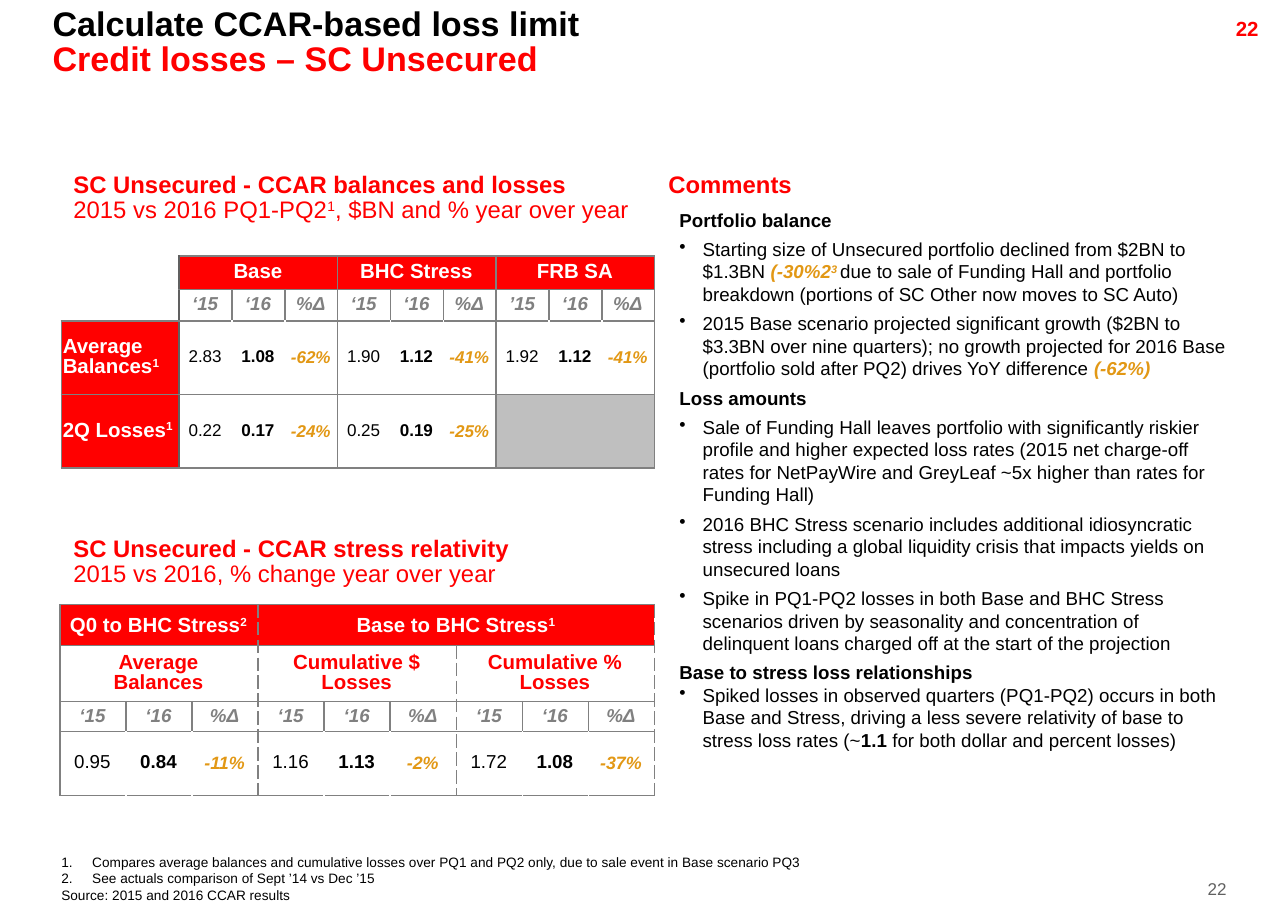
from lxml import etree
from pptx import Presentation
from pptx.dml.color import RGBColor
from pptx.enum.text import MSO_ANCHOR as ANCHOR, PP_ALIGN as ALIGN
from pptx.oxml.ns import qn
from pptx.util import Cm, Pt

COLORS = {"red": "FF0000", "black": "000000", "white": "FFFFFF", "gray": "808080",
          "dark": "606060", "light": "BFBFBF", "amber": "E29815"}
TIGHT = 0.86
HEADS = ("‘15", "‘16", "%Δ")


def rgb(name):
    return RGBColor.from_string(COLORS[name])


def add_runs(p, runs, size):
    """Each run is (text, flags, color); flags: b bold, i italic, ^ superscript."""
    for text, flags, color in runs:
        r = p.add_run()
        r.text = text
        f = r.font
        f.name, f.size = "Arial", Pt(size)
        f.bold, f.italic = "b" in flags, "i" in flags
        f.color.rgb = rgb(color)
        if "^" in flags:
            r._r.get_or_add_rPr().set("baseline", "30000")


def add_bullet(p, indent, tag, **attrs):
    pPr = p._p.get_or_add_pPr()
    pPr.set("marL", str(Cm(indent)))
    pPr.set("indent", str(-Cm(indent)))
    etree.SubElement(pPr, qn(f"a:{tag}"), **attrs)


def add_text(s, box, paras, size, spacing=TIGHT, align=ALIGN.LEFT, wrap=True, inset=True):
    tf = s.shapes.add_textbox(*map(Cm, box)).text_frame
    tf.word_wrap = wrap
    if not inset:
        tf.margin_left = tf.margin_right = tf.margin_top = tf.margin_bottom = 0
    for i, runs in enumerate(paras):
        p = tf.paragraphs[0] if i == 0 else tf.add_paragraph()
        p.alignment, p.line_spacing = align, spacing
        add_runs(p, runs, size)
    return tf


def set_borders(cell, edges):
    """Edges are (color, dash) or None, in the order left, right, top, bottom."""
    tcPr = cell._tc.get_or_add_tcPr()
    for i, (side, edge) in enumerate(zip("LRTB", edges)):
        ln = etree.Element(qn(f"a:ln{side}"), w=str(Pt(1)))
        if edge:
            fill = etree.SubElement(ln, qn("a:solidFill"))
            etree.SubElement(fill, qn("a:srgbClr"), val=COLORS[edge[0]])
            etree.SubElement(ln, qn("a:prstDash"), val=edge[1])
        else:
            etree.SubElement(ln, qn("a:noFill"))
        tcPr.insert(i, ln)


def add_grid(s, box, widths, heights, merges, rows, edge):
    """rows hold (paragraphs, size, fill, align, spacing) by cell; edge(row, k) is gridline k."""
    frame = s.shapes.add_table(len(heights), len(widths), *map(Cm, box))
    table = frame.table
    table.first_row = table.horz_banding = False
    for col, width in zip(table.columns, widths):
        col.width = Cm(width)
    for row, height in zip(table.rows, heights):
        row.height = Cm(height)
    for r0, c0, r1, c1 in merges:
        table.cell(r0, c0).merge(table.cell(r1, c1))
    for r, row in enumerate(rows):
        for c, (paras, size, fill, align, spacing) in enumerate(row):
            cell = table.cell(r, c)
            cell.margin_left, cell.margin_right = Cm(0.03), Cm(0.05)
            cell.margin_top = cell.margin_bottom = Cm(0.05)
            cell.vertical_anchor = ANCHOR.MIDDLE
            cell.fill.solid()
            cell.fill.fore_color.rgb = rgb(fill)
            tf = cell.text_frame
            for i, runs in enumerate(paras):
                p = tf.paragraphs[0] if i == 0 else tf.add_paragraph()
                p.alignment, p.line_spacing = align, spacing
                add_runs(p, runs, size)
            if not paras:
                etree.SubElement(tf.paragraphs[0]._p, qn("a:endParaRPr"), sz="800")
            rule = ("gray", "solid")
            corner = fill == "white" and not paras
            set_borders(cell, (edge(r, c), edge(r, c + cell.span_width),
                               None if corner else rule, rule))


def label(*paras, size=12, fill="red", align=ALIGN.CENTER, spacing=TIGHT):
    return paras, size, fill, align, spacing


def blanks(n, fill="white"):
    return [label(fill=fill)] * n


def year_heads(heads):
    return [label([(h, "bi", "gray")], size=11, fill="white") for h in heads]


def readings(text, size, change_size):
    """Cells for repeated triples: last year, this year, change."""
    styles = (("", "black", size, TIGHT), ("b", "black", size, TIGHT),
              ("bi", "amber", change_size, 1.0))
    cells = []
    for i, value in enumerate(text.split()):
        flags, color, points, spacing = styles[i % 3]
        cells.append(label([(value, flags, color)], size=points, fill="white", spacing=spacing))
    return cells


def balances_table(s, box):
    first = 2.44
    widths = [first] + [(box[2] - first) / 9] * 9

    def side(*runs):
        return label([(t, f, "white") for t, f in runs], align=ALIGN.LEFT)

    scenarios = []
    for name in ("Base", "BHC Stress", "FRB SA"):
        scenarios += [label([(name, "b", "white")])] + blanks(2, "red")
    rows = [
        blanks(1) + scenarios,
        blanks(1) + year_heads(HEADS * 2 + ("’15", "‘16", "%Δ")),
        [side(("Average Balances", "b"), ("1", "b^"))]
        + readings("2.83 1.08 -62% 1.90 1.12 -41% 1.92 1.12 -41%", 10, 10),
        [side(("2Q Losses", "b"), ("1", "b^"))]
        + readings("0.22 0.17 -24% 0.25 0.19 -25%", 10, 10) + blanks(3, "light"),
    ]

    def edge(r, k):
        if k == 0 and r < 2:
            return None
        if k == 1:
            return "dark", "solid"
        return ("gray" if r < 2 or k == 0 or k % 3 == 1 else "white"), "solid"

    merges = [(0, 0, 1, 0), (3, 7, 3, 9)] + [(0, c, 0, c + 2) for c in (1, 4, 7)]
    add_grid(s, box, widths, (0.69, 0.66, 1.52, 1.52), merges, rows, edge)


def relativity_table(s, box):
    def top(text, note):
        return label([(text, "b", "white"), (note, "b^", "white")], spacing=1.0)

    measures = []
    for lines in (("Average", "Balances"), ("Cumulative $", "Losses"), ("Cumulative % Losses",)):
        measures += [label(*[[(t, "b", "red")] for t in lines], fill="white")] + blanks(2)
    rows = [
        [top("Q0 to BHC Stress", "2")] + blanks(2, "red")
        + [top("Base to BHC Stress", "1")] + blanks(5, "red"),
        measures,
        year_heads(HEADS * 3),
        readings("0.95 0.84 -11% 1.16 1.13 -2% 1.72 1.08 -37%", 11, 10.5),
    ]

    def edge(r, k):
        if k % 3 == 0:
            return "gray", "sysDash" if k else "solid"
        return ("white" if r == 3 else "gray"), "solid"

    merges = [(0, 0, 0, 2), (0, 3, 0, 8)] + [(1, c, 1, c + 2) for c in (0, 3, 6)]
    add_grid(s, box, [box[2] / 9] * 9, (0.85, 1.16, 0.62, 1.32), merges, rows, edge)


def comments(s, box):
    def plain(text):
        return text, "", "black"

    paras = [
        [("Portfolio balance", "b", "black")],
        [plain("Starting size of Unsecured portfolio declined from $2BN to $1.3BN "),
         ("(-30%2", "bi", "amber"), ("3 ", "bi^", "amber"),
         plain("due to sale of Funding Hall and portfolio breakdown "
               "(portions of SC Other now moves to SC Auto)")],
        [plain("2015 Base scenario projected significant growth ($2BN to $3.3BN over nine "
               "quarters); no growth projected for 2016 Base (portfolio sold after PQ2) "
               "drives YoY difference "), ("(-62%)", "bi", "amber")],
        [("Loss amounts", "b", "black")],
        [plain("Sale of Funding Hall leaves portfolio with significantly riskier profile and "
               "higher expected loss rates (2015 net charge-off rates for NetPayWire and "
               "GreyLeaf ~5x higher than rates for Funding Hall)")],
        [plain("2016 BHC Stress scenario includes additional idiosyncratic stress including "
               "a global liquidity crisis that impacts yields on unsecured loans")],
        [plain("Spike in PQ1-PQ2 losses in both Base and BHC Stress scenarios driven by "
               "seasonality and concentration of delinquent loans charged off at the start "
               "of the projection")],
        [("Base to stress loss relationships", "b", "black")],
        [plain("Spiked losses in observed quarters (PQ1-PQ2) occurs in both Base and Stress, "
               "driving a less severe relativity of base to stress loss rates (~"),
         ("1.1 ", "b", "black"), plain("for both dollar and percent losses)")],
    ]
    tf = add_text(s, box, paras, 11, spacing=1.0)
    for i, p in enumerate(tf.paragraphs):
        if 0 < i < len(paras) - 1:
            p.space_before = Pt(4)
        if i not in (0, 3, 7):
            add_bullet(p, 0.48, "buChar", char="•")


def footnotes(s, box):
    notes = ("Compares average balances and cumulative losses over PQ1 and PQ2 only, "
             "due to sale event in Base scenario PQ3",
             "See actuals comparison of Sept ’14 vs Dec ’15",
             "Source: 2015 and 2016 CCAR results")
    tf = add_text(s, box, [[(n, "", "black")] for n in notes], 8, 1.0, wrap=False, inset=False)
    for p in tf.paragraphs[:2]:
        add_bullet(p, 0.64, "buAutoNum", type="arabicPeriod")


def section_heading(s, box, title, *subtitle):
    paras = [[(title, "b", "red")]]
    if subtitle:
        paras.append([(t, f, "red") for t, f in subtitle])
    add_text(s, box, paras, 14)


def page_frame(s, box):
    """Title and both page numbers."""
    x, y, w, h = box
    add_text(s, (x + 0.84, y + 0.05, 24.79, 1.73),
             [[("Calculate CCAR-based loss limit", "b", "black")],
              [("Credit losses – SC Unsecured", "b", "red")]], 20)
    add_text(s, (x + w - 2.9, y + 0.28, 2.54, 0.61), [[("22", "b", "red")]], 12,
             align=ALIGN.RIGHT)
    add_text(s, (x + w - 1.7, y + h - 0.86, 0.43, 0.43), [[("22", "", "dark")]], 10, 1.0,
             ALIGN.RIGHT, wrap=False, inset=False)


def main():
    prs = Presentation()
    prs.slide_width, prs.slide_height = Cm(26.67), Cm(19.05)
    s = prs.slides.add_slide(prs.slide_layouts[6])
    page_frame(s, (0, 0, 26.67, 19.05))
    section_heading(s, (1.27, 3.48, 12.29, 1.3), "SC Unsecured - CCAR balances and losses",
                    ("2015 vs 2016 PQ1-PQ2", ""), ("1", "^"),
                    (", $BN and % year over year", ""))
    balances_table(s, (1.27, 5.3, 12.29, 4.39))
    section_heading(s, (1.27, 11.02, 9.78, 1.3), "SC Unsecured - CCAR stress relativity",
                    ("2015 vs 2016, % change year over year", ""))
    relativity_table(s, (1.24, 12.52, 12.32, 3.95))
    section_heading(s, (13.59, 3.48, 11.38, 0.79), "Comments")
    comments(s, (13.82, 4.19, 11.84, 11.61))
    footnotes(s, (1.27, 17.68, 15.52, 1.02))
    prs.save("out.pptx")


if __name__ == "__main__":
    main()
